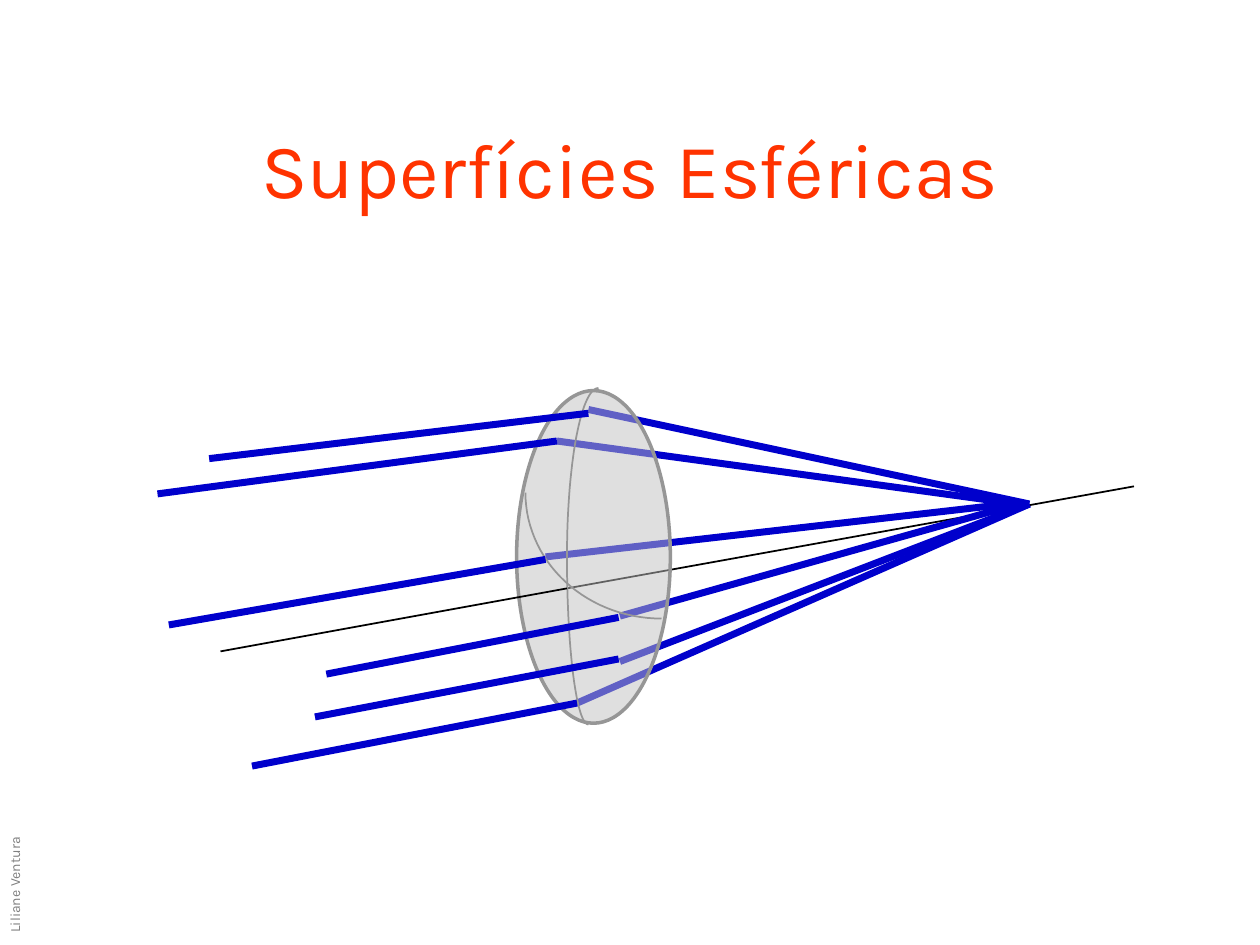
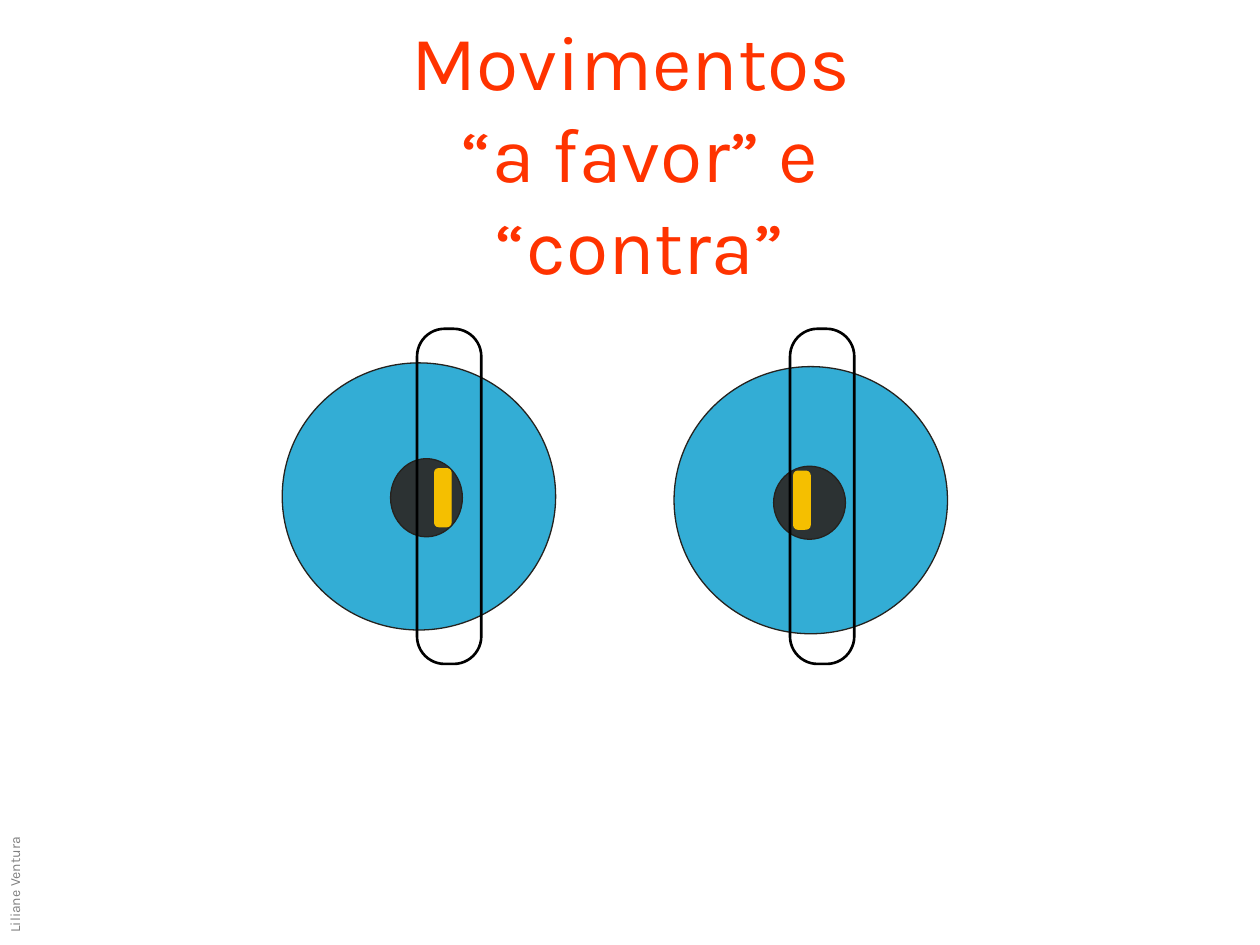
from math import cos, sin, radians
from lxml.etree import SubElement
from pptx import Presentation
from pptx.dml.color import RGBColor
from pptx.enum.shapes import MSO_CONNECTOR, MSO_SHAPE
from pptx.enum.text import MSO_ANCHOR, MSO_AUTO_SIZE, PP_ALIGN
from pptx.oxml.ns import qn
from pptx.util import Inches, Pt

COLORS = {
    "title": "FF3300", "credit": "808080", "axis": "000000", "ray": "0000CC",
    "lens": "C0C0C0", "lens_edge": "969696", "iris": "33ADD5",
    "pupil": "2C3233", "eye_edge": "25221E", "slit": "000000", "reflex": "F5BF00",
}
TITLE_FONT = {"name": "Karla", "size": Pt(44), "bold": False}
CREDIT_FONT = {"name": "Karla", "size": Pt(8), "bold": False}

deck = Presentation()
deck.slide_width, deck.slide_height = Inches(10), Inches(7.5)

# Grid of 100 columns by 75 rows; all positions below are in cells
COLUMN = deck.slide_width / 100
ROW = deck.slide_height / 75


def draw_line(page, start, end, color, width):
    line = page.shapes.add_connector(
        MSO_CONNECTOR.STRAIGHT, int(start[0] * COLUMN), int(start[1] * ROW),
        int(end[0] * COLUMN), int(end[1] * ROW))
    line.line.color.rgb = RGBColor.from_string(COLORS[color])
    line.line.width = Pt(width)
    SubElement(line._element.spPr, qn("a:effectLst"))


def style_shape(shape, fill, edge, width):
    shape.shadow.inherit = False
    if fill:
        shape.fill.solid()
        shape.fill.fore_color.rgb = RGBColor.from_string(COLORS[fill])
    else:
        shape.fill.background()
    shape.line.color.rgb = RGBColor.from_string(COLORS[edge])
    shape.line.width = Pt(width)


# Shared title and side credit
titles = [
    ("Superfícies Esféricas", (7.5, 5, 85, 12.5), MSO_ANCHOR.BOTTOM),
    ("Movimentos \v“a favor” e “contra”", (25.8, 5.8, 50, 12.5), MSO_ANCHOR.MIDDLE),
]
pages = []
for words, (left, top, width, height), anchor in titles:
    page = deck.slides.add_slide(deck.slide_layouts[5])
    pages.append(page)

    title = page.shapes.title
    title.left, title.top = int(left * COLUMN), int(top * ROW)
    title.width, title.height = int(width * COLUMN), int(height * ROW)
    title.text_frame.text = words

    credit = page.shapes.add_textbox(
        int(-7.9 * COLUMN), int(62.1 * ROW), int(20.8 * COLUMN), int(5 * ROW))
    credit.rotation = 270
    credit.text_frame.text = "Liliane Ventura"

    for box, font_values, color, align, box_anchor in [
        (title, TITLE_FONT, "title", PP_ALIGN.CENTER, anchor),
        (credit, CREDIT_FONT, "credit", PP_ALIGN.LEFT, MSO_ANCHOR.TOP),
    ]:
        frame = box.text_frame
        frame.word_wrap = True
        frame.auto_size = MSO_AUTO_SIZE.NONE
        frame.vertical_anchor = box_anchor
        for para in frame.paragraphs:
            para.alignment = align
            for span in para.runs:
                for name, value in font_values.items():
                    setattr(span.font, name, value)
                span.font.color.rgb = RGBColor.from_string(COLORS[color])

lens_page, eyes_page = pages

# Rays: source, point where the ray enters the lens, point where it leaves, focus
rays = [
    ((16.6, 36.4), (46.7, 32.8), (46.7, 32.5), (81.7, 40)),
    ((20, 60.8), (45.8, 55.8), (45.8, 55.8), (81.7, 40)),
    ((25, 56.9), (49.1, 52.3), (49.2, 52.5), (81.7, 40)),
    ((12.5, 39.2), (44.2, 35), (44.2, 35), (80.8, 40)),
    ((13.4, 49.6), (43.3, 44.4), (43.3, 44.2), (80, 40)),
    ((25.9, 53.5), (49.1, 49), (49.2, 48.9), (80.8, 40)),
]
axis_middle = (45, 46.7)

# Behind the lens: optical axis and converging rays
draw_line(lens_page, (90, 38.6), axis_middle, "axis", 1)
for source, entry, leave, focus in rays:
    draw_line(lens_page, leave, focus, "ray", 4)

# Half transparent lens
lens = lens_page.shapes.add_shape(
    MSO_SHAPE.OVAL, int(41 * COLUMN), int(31 * ROW), int(12.2 * COLUMN), int(26.4 * ROW))
style_shape(lens, "lens", "lens_edge", 2)
lens_color = lens._element.spPr.find(qn("a:solidFill"))[0]
SubElement(lens_color, qn("a:alpha")).set("val", "50000")

# Curves on the lens surface: centre, radii, first angle of a quarter turn
curves = [
    ((47.5, 44.2), (2.5, 13.4), 180),
    ((46.7, 44.1), (1.7, 13.4), 90),
    ((52.5, 39.1), (10.8, 10), 90),
]
for (center_x, center_y), (radius_x, radius_y), first in curves:
    points = [
        ((center_x + radius_x * cos(radians(angle))) * COLUMN,
         (center_y + radius_y * sin(radians(angle))) * ROW)
        for angle in range(first, first + 91, 3)
    ]
    outline = lens_page.shapes.build_freeform(*points[0])
    outline.add_line_segments(points[1:], close=False)
    style_shape(outline.convert_to_shape(), None, "lens_edge", 1)

# In front of the lens: optical axis and incoming rays
draw_line(lens_page, axis_middle, (17.5, 51.7), "axis", 1)
for source, entry, leave, focus in rays:
    draw_line(lens_page, entry, source, "ray", 4)

# Eyes: iris, pupil, light slit and its reflex, from back to front
OVAL, ROUNDED = MSO_SHAPE.OVAL, MSO_SHAPE.ROUNDED_RECTANGLE
eye_parts = [
    (OVAL, "iris", "eye_edge", 0, None),
    (OVAL, "pupil", "eye_edge", 0, None),
    (ROUNDED, None, "slit", 1.5, 0.43),
    (ROUNDED, "reflex", "reflex", 0, 0.25),
]
eyes = [
    [(53.5, 29.1, 21.7, 21.2), (61.4, 37, 5.7, 5.8),
     (62.7, 26.1, 5.1, 26.6), (63, 37.4, 1.3, 4.6)],
    [(22.4, 28.8, 21.7, 21.2), (31, 36.4, 5.7, 6.2),
     (33.1, 26.1, 5.1, 26.6), (34.5, 37.2, 1.3, 4.6)],
]
for eye in eyes:
    for (left, top, width, height), (kind, fill, edge, weight, corner) in zip(eye, eye_parts):
        part = eyes_page.shapes.add_shape(
            kind, int(left * COLUMN), int(top * ROW), int(width * COLUMN), int(height * ROW))
        style_shape(part, fill, edge, weight)
        if corner:
            part.adjustments[0] = corner

deck.save("out.pptx")
